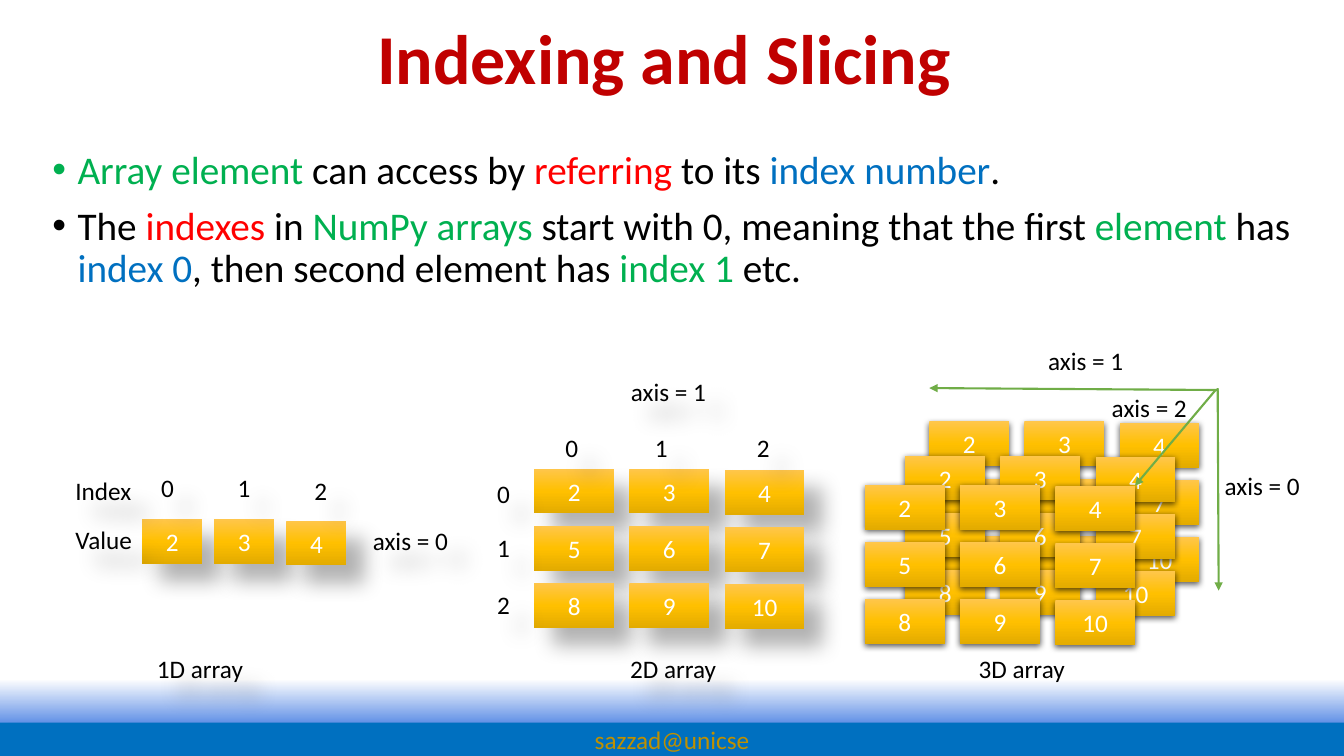
import copy
from dataclasses import dataclass

import lxml.etree
import pptx
import pptx.dml.color
import pptx.enum.shapes
import pptx.enum.text
import pptx.oxml.ns
import pptx.util

Pt = pptx.util.Pt
qn = pptx.oxml.ns.qn
ALIGN = pptx.enum.text.PP_ALIGN
ANCHOR = pptx.enum.text.MSO_ANCHOR
SIZING = pptx.enum.text.MSO_AUTO_SIZE


@dataclass(frozen=True)
class Theme:
    font: str = "Calibri"
    title_size: int = 50
    list_size: int = 28
    label_size: int = 18
    title: str = "C00000"
    black: str = "000000"
    white: str = "FFFFFF"
    green: str = "00B050"
    red: str = "FF0000"
    blue: str = "0070C0"
    gold: str = "BF9000"
    arrow: str = "70AD47"
    cell: tuple = ((0, "FFC64B"), (0.5, "FFC000"), (1, "E3AB00"))
    band: tuple = ((0, "FFFFFF"), (1, "5F8FE6"))
    # opacity %, blur, distance, angle
    long_shadow: tuple = (30, 15, 18, 45)
    short_shadow: tuple = (63, 4.5, 1.5, 90)


def rgb(value):
    return pptx.dml.color.RGBColor.from_string(value)


class Painter:
    def __init__(self, page, theme):
        self.page, self.theme = page, theme
        self.shapes = page.shapes

    def start_group(self):
        """Send the elements that follow into a new group."""
        self.shapes = self.page.shapes.add_group_shape().shapes

    def end_group(self):
        self.shapes = self.page.shapes

    def span(self, para, text, size, color, bold=False):
        span = para.add_run()
        span.text = text
        span.font.name, span.font.size = self.theme.font, Pt(size)
        span.font.color.rgb, span.font.bold = rgb(color), bold

    def place(self, shape, left, top, width, height):
        shape.left, shape.top = Pt(left), Pt(top)
        shape.width, shape.height = Pt(width), Pt(height)

    def gradient(self, shape, stops):
        """Fill a shape downwards through any number of colour stops."""
        shape.fill.gradient()
        shape.fill.gradient_angle = 270
        stop_list = shape._element.spPr.find(".//" + qn("a:gsLst"))
        for _ in stops[2:]:
            stop_list.append(copy.deepcopy(stop_list[0]))
        for stop, (position, color) in zip(shape.fill.gradient_stops, stops):
            stop.position, stop.color.rgb = position, rgb(color)

    def shadow(self, shape, style):
        shape.shadow.inherit = False
        if style is None:
            return
        opacity, blur, distance, angle = style
        effects = shape._element.spPr.find(qn("a:effectLst"))
        outer = lxml.etree.SubElement(
            effects, qn("a:outerShdw"), blurRad=str(Pt(blur)), dist=str(Pt(distance)),
            dir=str(angle * 60000), algn="ctr", rotWithShape="0")
        color = lxml.etree.SubElement(outer, qn("a:srgbClr"), val=self.theme.black)
        lxml.etree.SubElement(color, qn("a:alpha"), val=str(opacity * 1000))

    def title(self, text, *area):
        box = self.page.shapes.title
        self.place(box, *area)
        box.text_frame.vertical_anchor = ANCHOR.TOP
        para = box.text_frame.paragraphs[0]
        para.alignment = ALIGN.CENTER
        self.span(para, text, self.theme.title_size, self.theme.title, True)

    def bullets(self, items, *area):
        box = self.page.placeholders[1]
        self.place(box, *area)
        frame = box.text_frame
        frame.auto_size = SIZING.NONE
        for index, item in enumerate(items):
            para = frame.add_paragraph() if index else frame.paragraphs[0]
            para.alignment = ALIGN.JUSTIFY
            para.line_spacing, para.space_before = 0.9, Pt(10)
            props = para._p.get_or_add_pPr()
            props.set("marL", str(Pt(18)))
            props.set("indent", str(Pt(-18)))
            lxml.etree.SubElement(props, qn("a:buFont"), typeface="Arial")
            lxml.etree.SubElement(props, qn("a:buChar"), char="•")
            for text, color in item:
                self.span(para, text, self.theme.list_size, color)

    def rect(self, left, top, width, height, fill, text="", color=None, shadow=None):
        box = self.shapes.add_shape(
            pptx.enum.shapes.MSO_SHAPE.RECTANGLE, Pt(left), Pt(top), Pt(width), Pt(height))
        box.line.fill.background()
        if isinstance(fill, tuple):
            self.gradient(box, fill)
        else:
            box.fill.solid()
            box.fill.fore_color.rgb = rgb(fill)
        self.shadow(box, shadow)
        if text:
            box.text_frame.vertical_anchor = ANCHOR.MIDDLE
            para = box.text_frame.paragraphs[0]
            para.alignment = ALIGN.CENTER
            self.span(para, text, self.theme.label_size, color)
        return box

    def cells(self, rows, left, top, width, pitch, shadow):
        """Draw a grid of array cells; the last column sits one point lower."""
        for r, row in enumerate(rows):
            for c, value in enumerate(row):
                self.rect(left + c * pitch, top + r * 40.8 + (c == 2), width, 32,
                          self.theme.cell, value, self.theme.white, shadow)

    def label(self, text, left, top, width, shadow=None):
        box = self.shapes.add_textbox(Pt(left), Pt(top), Pt(width), Pt(29))
        box.text_frame.word_wrap = True
        box.text_frame.auto_size = SIZING.SHAPE_TO_FIT_TEXT
        self.shadow(box, shadow)
        self.span(box.text_frame.paragraphs[0], text, self.theme.label_size, self.theme.black)

    def arrow(self, *ends):
        line = self.shapes.add_connector(
            pptx.enum.shapes.MSO_CONNECTOR.STRAIGHT, *(Pt(end) for end in ends))
        line.line.width = Pt(1.5)
        line.line.color.rgb = rgb(self.theme.arrow)
        lxml.etree.SubElement(line.line._get_or_add_ln(), qn("a:tailEnd"), type="triangle")
        lxml.etree.SubElement(line._element.spPr, qn("a:effectLst"))


def main():
    deck = pptx.Presentation()
    deck.slide_width, deck.slide_height = Pt(960), Pt(540)
    page = deck.slides.add_slide(deck.slide_layouts[1])
    theme = Theme()
    paint = Painter(page, theme)
    black, green, red, blue = theme.black, theme.green, theme.red, theme.blue
    soft = theme.long_shadow

    band = paint.rect(0, 485, 960, 32, theme.band)
    page.shapes._spTree.insert(2, band._element)
    paint.title("Indexing and Slicing ", 123.8, 6.5, 712.8, 67.7)
    paint.bullets([
        [("Array element ", green), ("can access by ", black), ("referring", red),
         (" to its ", black), ("index number", blue), (".", black)],
        [("The ", black), ("indexes", red), (" in ", black), ("NumPy arrays ", green),
         ("start with 0, meaning that the first ", black), ("element", green),
         (" has ", black), ("index 0", blue), (", then second element has ", black),
         ("index 1 ", green), ("etc.", black)],
    ], 30.2, 103.7, 898.6, 383)

    matrix = [["2", "3", "4"], ["5", "6", "7"], ["8", "9", "10"]]
    covered = [["2", "3", "4"], ["", "", "7"], ["", "", "10"]]

    paint.start_group()
    paint.cells(matrix, 381.6, 334.8, 57, 68, soft)
    for index, (row_top, column_left) in enumerate([(338.4, 396.7), (376.6, 460.8), (417.6, 533.5)]):
        paint.label(str(index), 348, row_top, 19, soft)
        paint.label(str(index), column_left, 305.5, 19, soft)
    for text, left, top in [("axis = 0", 259.2, 371.5), ("axis = 1", 443.5, 265),
                            ("2D array", 443, 463)]:
        paint.label(text, left, top, 78, soft)

    paint.start_group()
    paint.cells(matrix[:1], 101.5, 370.8, 43, 51.5, soft)
    for index in range(3):
        paint.label(str(index), 108 + index * 54.7, 334 + 2 * (index == 2), 17.5, soft)
    for text, left, top, width in [("Value", 46.8, 370.8, 60.5), ("Index", 46.8, 336.2, 60.5),
                                   ("1D array", 105, 463, 78.5)]:
        paint.label(text, left, top, width, soft)

    paint.start_group()
    for rows, left, top in [(covered, 663.8, 301), (matrix, 646.6, 325.4), (matrix, 617.8, 346.3)]:
        paint.cells(rows, left, top, 57, 68, theme.short_shadow)
    paint.arrow(868.3, 278.6, 810.7, 347)
    paint.arrow(870.5, 278.6, 663.8, 277.2)
    paint.arrow(869.8, 277.2, 870.5, 421.9)
    for text, left, top in [("axis = 1", 741.6, 243.4), ("axis = 2", 787, 276.5),
                            ("axis = 0", 867.6, 332.6), ("3D array", 692, 463)]:
        paint.label(text, left, top, 78.5)
    paint.end_group()

    paint.rect(0, 516.2, 960, 23.8, blue, "sazzad@unicse", theme.gold, soft)
    deck.save("out.pptx")


if __name__ == "__main__":
    main()
